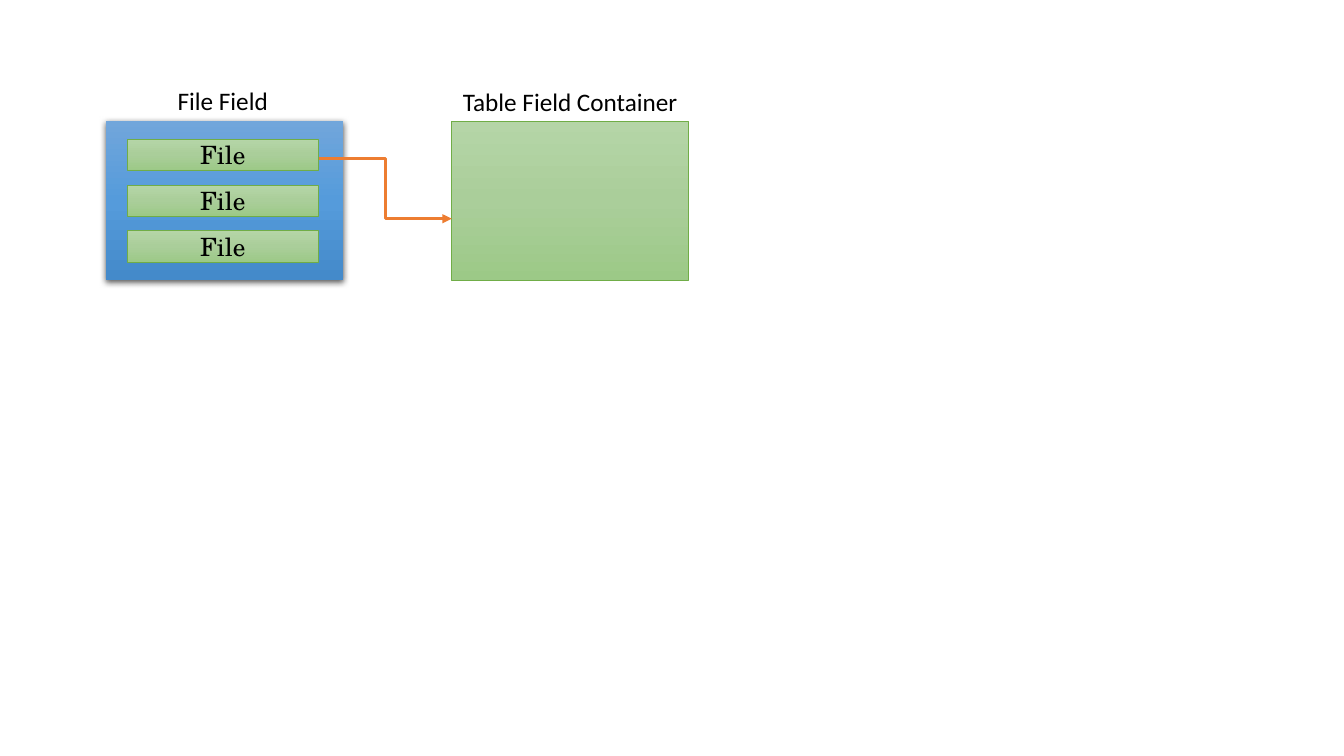
from copy import deepcopy
from dataclasses import dataclass

from lxml import etree
from pptx import Presentation, util as u
from pptx.dml.color import RGBColor
from pptx.enum import shapes, text
from pptx.oxml import ns

BLUES = (RGBColor(0x71, 0xA6, 0xDB), RGBColor(0x55, 0x9B, 0xDB), RGBColor(0x44, 0x8A, 0xCA))
GREENS = (RGBColor(0xB5, 0xD5, 0xA7), RGBColor(0xAA, 0xCE, 0x9A), RGBColor(0x9C, 0xC9, 0x87))
GREEN = RGBColor(0x70, 0xAD, 0x47)
ORANGE = RGBColor(0xED, 0x7D, 0x31)
BLACK = RGBColor(0, 0, 0)


@dataclass
class Box:
    left: float
    top: float
    width: float
    height: float
    label: str = ""

    def area(self) -> list:
        return [u.Inches(n) for n in (self.left, self.top, self.width, self.height)]


FIELD = Box(1.05, 1.2, 2.35, 1.58)
TABLE = Box(4.48, 1.2, 2.35, 1.58)
FILES = [Box(1.26, 1.38 + 0.455 * row, 1.9, 0.31, "File") for row in range(3)]
TITLES = [
    Box(1.26, 0.8, 1.9, 0.4, "File Field"),
    Box(4.48, 0.81, 2.35, 0.4, "Table Field Container"),
]


def add_node(parent, tag: str, **values):
    node = etree.SubElement(parent, ns.qn(tag))
    for name, value in values.items():
        node.set(name, str(value))
    return node


def write(shape, label: str, font: str, frame: dict) -> None:
    for name, value in frame.items():
        setattr(shape.text_frame, name, value)
    para = shape.text_frame.paragraphs[0]
    para.alignment = text.PP_ALIGN.CENTER
    run = para.add_run()
    run.text = label
    for name, value in {"name": font, "size": u.Pt(18)}.items():
        setattr(run.font, name, value)
    run.font.color.rgb = BLACK


def draw_box(slide, box: Box, colors: tuple, line: RGBColor | None = None):
    shape = slide.shapes.add_shape(shapes.MSO_SHAPE.RECTANGLE, *box.area())
    shape.shadow.inherit = False
    fill = shape.fill
    fill.gradient()
    fill.gradient_angle = 270
    first = shape._element.spPr.find(".//" + ns.qn("a:gs"))
    first.addnext(deepcopy(first))
    for stop, color, place in zip(fill.gradient_stops, colors, (0, 0.5, 1)):
        stop.color.rgb = color
        stop.position = place
    if line is None:
        shape.line.fill.background()
    else:
        shape.line.color.rgb = line
        shape.line.width = u.Pt(0.5)
    if box.label:
        write(shape, box.label, "TeX Gyre Schola",
              {"vertical_anchor": text.MSO_ANCHOR.MIDDLE})
    return shape


def add_shadow(shape) -> None:
    effects = shape._element.spPr.find(ns.qn("a:effectLst"))
    shadow = add_node(effects, "a:outerShdw", blurRad=u.Pt(4.5), dist=u.Pt(1.5),
                      dir=5400000, algn="ctr", rotWithShape=0)
    color = add_node(shadow, "a:srgbClr", val=BLACK)
    add_node(color, "a:alpha", val=63000)


def draw_title(slide, box: Box) -> None:
    frame = {"word_wrap": True, "auto_size": text.MSO_AUTO_SIZE.SHAPE_TO_FIT_TEXT}
    write(slide.shapes.add_textbox(*box.area()), box.label, "Calibri", frame)


def draw_arrow(slide) -> None:
    ends = [u.Inches(n) for n in (3.16, 1.57, 4.48, 2.17)]
    arrow = slide.shapes.add_connector(shapes.MSO_CONNECTOR.ELBOW, *ends)
    arrow.line.color.rgb = ORANGE
    arrow.line.width = u.Pt(2.25)
    add_node(arrow.line._get_or_add_ln(), "a:tailEnd", type="triangle")
    add_node(arrow._element.spPr, "a:effectLst")


def main() -> None:
    deck = Presentation()
    deck.slide_width, deck.slide_height = u.Inches(13.33), u.Inches(7.5)
    slide = deck.slides.add_slide(deck.slide_layouts[6])
    add_shadow(draw_box(slide, FIELD, BLUES))
    for box in [*FILES, TABLE]:
        draw_box(slide, box, GREENS, GREEN)
    draw_arrow(slide)
    for title in TITLES:
        draw_title(slide, title)
    deck.save("out.pptx")


if __name__ == "__main__":
    main()
